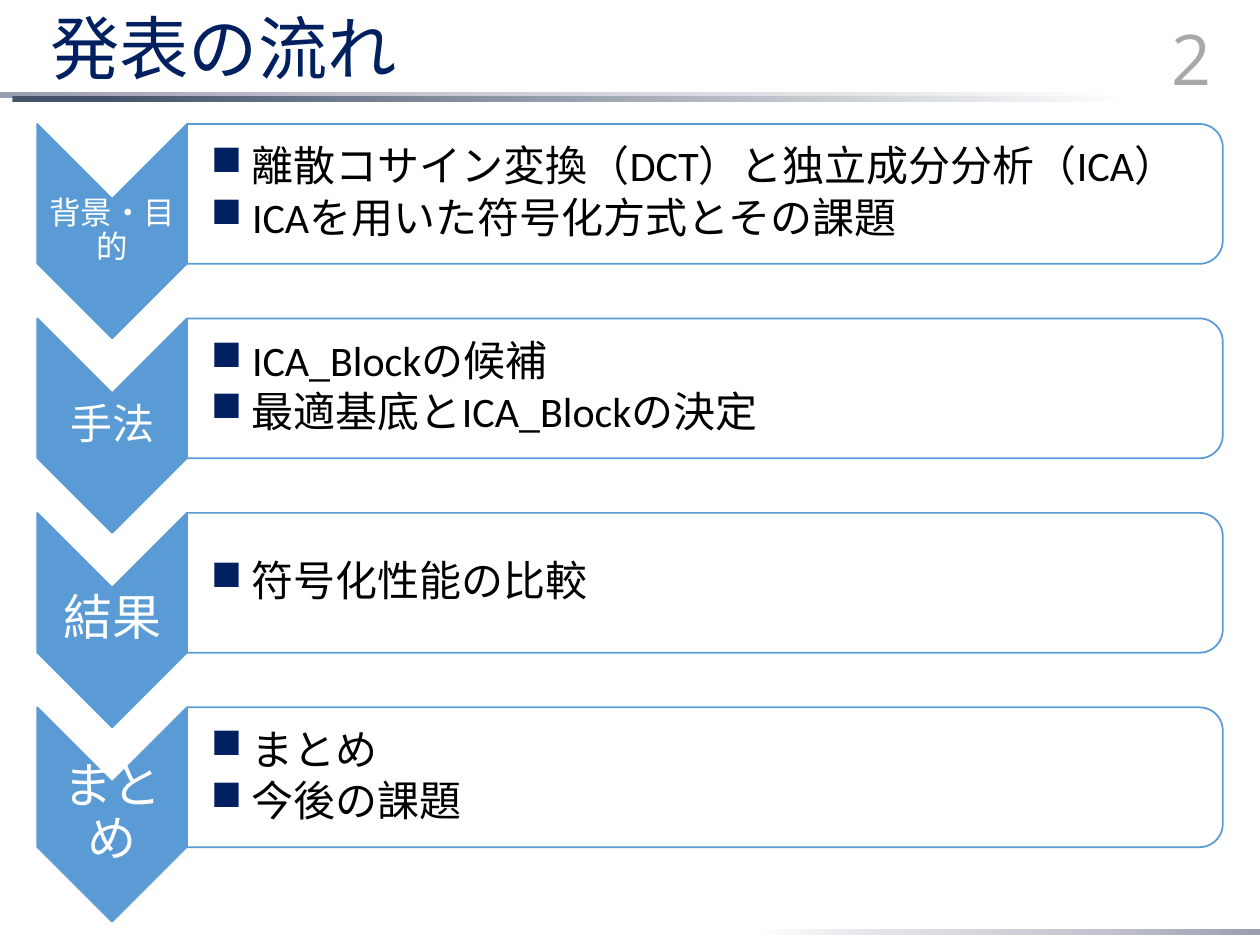
"""Build the talk outline slide with four chevron steps and their topics."""
from lxml import etree
from pptx import Presentation
from pptx import util as u
from pptx.dml.color import RGBColor
from pptx.enum import shapes, text
from pptx.oxml.ns import qn

TITLE = "発表の流れ"
PAGE = "2"
STEPS = [
    ("背景・目的", 18, [" 離散コサイン変換（DCT）と独立成分分析（ICA）",
                   " ICAを用いた符号化方式とその課題"]),
    ("手法", 24, [" ICA_Blockの候補", " 最適基底とICA_Blockの決定"]),
    ("結果", 28, [" 符号化性能の比較"]),
    ("まとめ", 28, [" まとめ", " 今後の課題"]),
]
COLOURS = {"navy": "002060", "blue": "5B9BD5", "white": "FFFFFF",
           "black": "000000", "grey": "8C8C8C"}
MIST = [(0, "9B9DB1"), (32, "C3C4CF"), (72, "E2E2E7"), (100, "FFFFFF")]
SLATE = [(8, "44546A"), (100, "FFFFFF")]
BARS = [
    ((15.11, 18.72, 10.29, 0.13), MIST, 180),
    ((0, 1.85, 22.76, 0.13), MIST, 0),
    ((0.25, 1.93, 22.53, 0.13), SLATE, 0),
]
LEFT, TOP, PITCH = 0.75, 2.5, 3.92
CHEVRON_WIDTH, CHEVRON_HEIGHT = 3.02, 4.32
PANEL_WIDTH, PANEL_HEIGHT = 20.88, 2.82
LABEL_HEIGHT, TOPICS_WIDTH, TOPICS_HEIGHT = 1.3, 20.75, 2.54


def colour(name):
    return RGBColor.from_string(COLOURS[name])


def paint(fill, name, opacity=100):
    fill.solid()
    fill.fore_color.rgb = colour(name)
    if opacity < 100:
        srgb = fill._xPr.find(".//" + qn("a:srgbClr"))
        etree.SubElement(srgb, qn("a:alpha"), val=str(opacity * 1000))


def add_bar(slide, box, stops, angle):
    shape = slide.shapes.add_shape(shapes.MSO_SHAPE.RECTANGLE, *map(u.Cm, box))
    shape.shadow.inherit = False
    shape.line.fill.background()
    shape.fill.gradient()
    shape.fill.gradient_angle = angle
    stop_list = shape._element.spPr.find(".//" + qn("a:gsLst"))
    for old in list(stop_list):
        stop_list.remove(old)
    for position, value in stops:
        stop = etree.SubElement(stop_list, qn("a:gs"), pos=str(position * 1000))
        etree.SubElement(stop, qn("a:srgbClr"), val=value)


def add_upright(slide, kind, left, top, width, height, fill, opacity=100):
    """Add a shape turned a quarter so that it covers the given box."""
    shift = (width - height) / 2
    shape = slide.shapes.add_shape(
        kind, u.Cm(left + shift), u.Cm(top - shift), u.Cm(height), u.Cm(width))
    shape.rotation = 90
    shape.shadow.inherit = False
    paint(shape.fill, fill, opacity)
    shape.line.color.rgb = colour("blue")
    shape.line.width = u.Pt(1)


def add_text(slide, box, lines, size, font, name, align, insets=None, opacity=100):
    shape = slide.shapes.add_textbox(*map(u.Cm, box))
    frame = shape.text_frame
    frame.word_wrap = True
    frame.vertical_anchor = text.MSO_ANCHOR.MIDDLE
    if insets:
        frame.margin_left = u.Cm(insets[0])
        frame.margin_right = frame.margin_top = frame.margin_bottom = u.Cm(insets[1])
    frame.text = "\n".join(lines)
    for paragraph in frame.paragraphs:
        paragraph.alignment = align
        paragraph.font.size = u.Pt(size)
        paragraph.font.name = font
        paint(paragraph.font.fill, name, opacity)
    return frame


def add_bullet(paragraph):
    paragraph.level = 1
    paragraph.line_spacing = 0.9
    paragraph.space_after = u.Pt(3.6)
    properties = paragraph._p.get_or_add_pPr()
    properties.set("marL", str(u.Cm(0.64)))
    properties.set("indent", str(u.Cm(-0.64)))
    bullet_colour = etree.Element(qn("a:buClr"))
    etree.SubElement(bullet_colour, qn("a:srgbClr"), val=COLOURS["navy"])
    bullet = etree.Element(qn("a:buChar"), char="■")
    defaults = properties.find(qn("a:defRPr"))
    defaults.addprevious(bullet_colour)
    defaults.addprevious(bullet)


def add_step(slide, top, label, size, topics):
    right = LEFT + CHEVRON_WIDTH
    add_upright(slide, shapes.MSO_SHAPE.CHEVRON, LEFT, top,
                CHEVRON_WIDTH, CHEVRON_HEIGHT, "blue")
    label_top = top + (CHEVRON_HEIGHT - LABEL_HEIGHT) / 2
    frame = add_text(slide, (LEFT, label_top, CHEVRON_WIDTH, LABEL_HEIGHT), [label],
                     size, "Calibri", "white", text.PP_ALIGN.CENTER, (0.04, 0.04))
    frame.paragraphs[0].line_spacing = 0.9
    add_upright(slide, shapes.MSO_SHAPE.ROUND_2_SAME_RECTANGLE, right, top,
                PANEL_WIDTH, PANEL_HEIGHT, "white", 90)
    topics_top = top + (PANEL_HEIGHT - TOPICS_HEIGHT) / 2
    frame = add_text(slide, (right, topics_top, TOPICS_WIDTH, TOPICS_HEIGHT), topics,
                     24, "Calibri", "black", text.PP_ALIGN.LEFT, (0.48, 0.04))
    for paragraph in frame.paragraphs:
        add_bullet(paragraph)


def add_title(slide):
    title = slide.shapes.title
    title.left, title.top, title.width, title.height = map(u.Cm, (0.76, 0.25, 22, 1.6))
    frame = title.text_frame
    frame.text = TITLE
    frame.auto_size = text.MSO_AUTO_SIZE.NONE
    frame.vertical_anchor = text.MSO_ANCHOR.MIDDLE
    paragraph = frame.paragraphs[0]
    paragraph.alignment = text.PP_ALIGN.LEFT
    paragraph.line_spacing = 0.9
    paragraph.font.size = u.Pt(39.6)
    paragraph.font.name = "Noto Sans CJK JP"
    paragraph.font.color.rgb = colour("navy")


def main():
    presentation = Presentation()
    presentation.slide_width, presentation.slide_height = u.Cm(25.4), u.Cm(19.05)
    slide = presentation.slides.add_slide(presentation.slide_layouts[5])
    for bar in BARS:
        add_bar(slide, *bar)
    add_title(slide)
    add_text(slide, (22.28, 0.25, 2.39, 1.8), [PAGE], 40, "Open Sans", "grey",
             text.PP_ALIGN.RIGHT, opacity=75)
    for index, step in enumerate(STEPS):
        add_step(slide, TOP + index * PITCH, *step)
    presentation.save("out.pptx")


if __name__ == "__main__":
    main()
